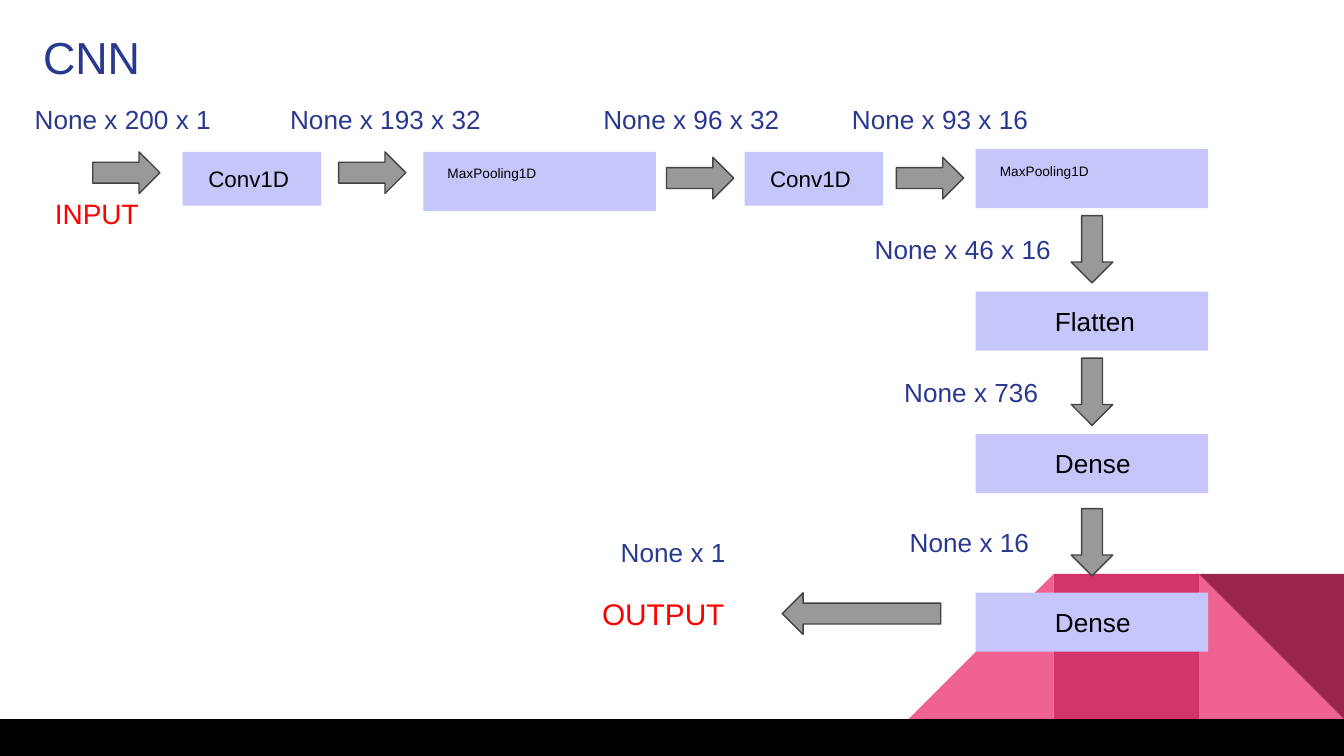
from dataclasses import dataclass
from pptx import Presentation
from pptx.dml import color
from pptx.enum import shapes, text
from pptx.util import Inches, Pt


@dataclass(frozen=True)
class Theme:
    font: str = "Arial"
    navy: str = "2A3990"
    red: str = "FF0000"
    black: str = "000000"
    layer: str = "C6C6FB"
    arrow: str = "999999"
    arrow_edge: str = "434343"
    pink: str = "F06292"
    rose: str = "D23369"
    wine: str = "9C254D"
    title: float = 24
    output: float = 16
    input: float = 15
    size: float = 14
    conv: float = 12
    pooling: float = 7.3


THEME = Theme()
KIND = shapes.MSO_SHAPE
LAYER_WIDTH, LAYER_HEIGHT = 1.73, 0.44
ARROW_WIDTH, ARROW_HEIGHT = 0.5, 0.31


def rgb(value):
    return color.RGBColor.from_string(value)


def write(holder, words, size, ink, indent=0.1):
    frame = holder.text_frame
    frame.word_wrap = True
    frame.auto_size = text.MSO_AUTO_SIZE.NONE
    frame.vertical_anchor = text.MSO_ANCHOR.TOP
    frame.margin_left = Inches(indent)
    frame.margin_right = frame.margin_top = frame.margin_bottom = Inches(0.1)
    line = frame.paragraphs[0]
    line.alignment = text.PP_ALIGN.LEFT
    run = line.add_run()
    run.text = words
    run.font.name = THEME.font
    run.font.size = Pt(size)
    run.font.color.rgb = rgb(ink)


def add_block(slide, kind, box, fill, edge=None, rotation=0):
    block = slide.shapes.add_shape(kind, *map(Inches, box))
    block.shadow.inherit = False
    block.rotation = rotation
    block.fill.solid()
    block.fill.fore_color.rgb = rgb(fill)
    if edge:
        block.line.color.rgb = rgb(edge)
        block.line.width = Pt(0.75)
    else:
        block.line.fill.background()
    return block


def add_layer(slide, box, name, size, indent):
    layer = add_block(slide, KIND.RECTANGLE, box, THEME.layer)
    write(layer, name, size, THEME.black, indent)


def add_arrow(slide, left, top, width=ARROW_WIDTH, rotation=0):
    add_block(slide, KIND.RIGHT_ARROW, (left, top, width, ARROW_HEIGHT),
              THEME.arrow, THEME.arrow_edge, rotation)


def add_label(slide, box, words, size=THEME.size, ink=THEME.navy, indent=0.1):
    label = slide.shapes.add_textbox(*map(Inches, box))
    write(label, words, size, ink, indent)


def place_title(slide, box):
    title = slide.shapes.title
    title.left, title.top, title.width, title.height = map(Inches, box)
    write(title, "CNN", THEME.title, THEME.navy)


def draw_backdrop(slide, box):
    left, top, width, height = box
    side = width / 3
    triangle = KIND.RIGHT_TRIANGLE
    for column, kind, fill, rotation in (
        (2, triangle, THEME.pink, 0),
        (0, triangle, THEME.pink, 270),
        (1, KIND.RECTANGLE, THEME.rose, 0),
        (2, triangle, THEME.wine, 180),
    ):
        add_block(slide, kind, (left + column * side, top, side, height),
                  fill, rotation=rotation)


def draw_footer(slide, box):
    add_block(slide, KIND.RECTANGLE, box, THEME.black)


def draw_convolutions(slide, box):
    left, top, width, height = box
    for x, label_width, words in (
        (0, 1.56, "None x 200 x 1"),
        (1.9, 1.65, "None x 193 x 32"),
        (4.23, 1.65, "None x 96 x 32"),
        (6.08, 1.65, "None x 93 x 16"),
    ):
        add_label(slide, (left + x, top, label_width, 0.43), words)
    for x, y in ((0.53, 0.46), (2.36, 0.46), (4.8, 0.5), (6.51, 0.5)):
        add_arrow(slide, left + x, top + y)
    for x in (1.2, 5.38):
        add_layer(slide, (left + x, top + 0.46, 1.03, 0.4),
                  "Conv1D", THEME.conv, 0.19)
    for x, y in ((2.99, 0.46), (7.1, 0.44)):
        add_layer(slide, (left + x, top + y, LAYER_WIDTH, LAYER_HEIGHT),
                  "MaxPooling1D", THEME.pooling, 0.18)
    add_label(slide, (left + 0.15, top + 0.69, 0.88, 0.45),
              "INPUT", THEME.input, THEME.red)


def draw_dense_stack(slide, box):
    left, top, width, height = box
    layer_left = left + width - LAYER_WIDTH
    arrow_left = layer_left + (LAYER_WIDTH - ARROW_WIDTH) / 2
    for y, gap, label_x, label_width, words, name in (
        (0.62, 0.47, 0, 1.56, "None x 46 x 16", "Flatten"),
        (1.68, 0.47, 0.22, 1.3, "None x 736", "Dense"),
        (2.86, 0.53, 0.26, 1.22, "None x 16", "Dense"),
    ):
        layer_top = top + y
        arrow_top = layer_top - gap
        add_arrow(slide, arrow_left, arrow_top, rotation=90)
        add_label(slide, (left + label_x, arrow_top - 0.06, label_width, 0.43), words)
        add_layer(slide, (layer_left, layer_top, LAYER_WIDTH, LAYER_HEIGHT),
                  name, THEME.size, 0.59)


def draw_output(slide, box):
    left, top, width, height = box
    add_label(slide, (left + 0.26, top, 1.22, 0.43), "None x 1")
    add_label(slide, (left, top + 0.44, 1.49, 0.47),
              "OUTPUT", THEME.output, THEME.red, 0.22)
    add_arrow(slide, left + width - 1.18, top + 0.52, 1.18, 180)


deck = Presentation()
deck.slide_width = Inches(10)
deck.slide_height = deck.slide_width * 9 // 16
slide = deck.slides.add_slide(deck.slide_layouts[5])
draw_backdrop(slide, (6.76, 4.27, 3.24, 1.08))
draw_footer(slide, (0, 5.35, 10, 0.28))
place_title(slide, (0.22, 0.12, 1.43, 0.6))
draw_convolutions(slide, (0.16, 0.67, 8.83, 1.14))
draw_dense_stack(slide, (6.41, 1.55, 2.58, 3.3))
draw_output(slide, (4.26, 3.89, 2.74, 0.91))
deck.save("out.pptx")
